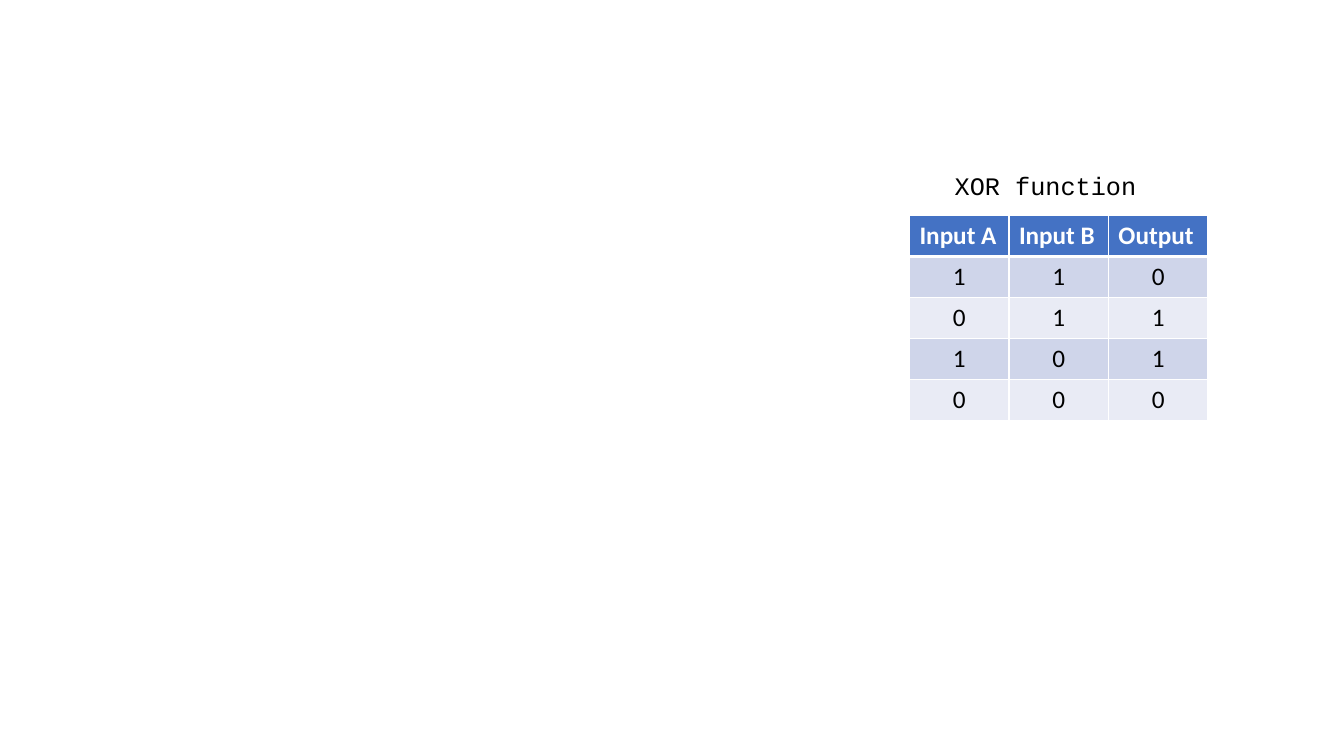
from lxml import etree
from pptx import Presentation
from pptx.dml.color import RGBColor
from pptx.enum.text import MSO_AUTO_SIZE, PP_ALIGN
from pptx.oxml.ns import qn
from pptx.util import Inches, Pt

LEFT, CENTER = PP_ALIGN.LEFT, PP_ALIGN.CENTER
FIT_SHAPE = MSO_AUTO_SIZE.SHAPE_TO_FIT_TEXT
BLANK_LAYOUT = 6

COLORS = {
    "header": "4472C4",
    "odd_row": "CFD5EA",
    "even_row": "E9EBF5",
    "white": "FFFFFF",
    "black": "000000",
}
CAPTION_FORMAT = {"name": "Courier New", "size": Pt(18), "bold": False}
HEADER_FORMAT = {"name": "Calibri", "size": Pt(18), "bold": True}
BODY_FORMAT = {**HEADER_FORMAT, "bold": False}

HEADINGS = ["Input A", "Input B", "Output"]
INPUT_PAIRS = [(1, 1), (0, 1), (1, 0), (0, 0)]


class SlideBuilder:
    """Draw styled elements on the current slide."""

    def __init__(self, slide, colors):
        self.slide = slide
        self.colors = colors

    def add_text(self, paragraph, text, font_format, color, alignment=LEFT):
        run = paragraph.add_run()
        run.text = text
        paragraph.alignment = alignment
        for attribute, value in font_format.items():
            setattr(run.font, attribute, value)
        run.font.color.rgb = RGBColor.from_string(self.colors[color])

    def caption(self, text, left, top, width, height):
        shape = self.slide.shapes.add_textbox(
            Inches(left), Inches(top), Inches(width), Inches(height))
        shape.text_frame.word_wrap = False
        shape.text_frame.auto_size = FIT_SHAPE
        self.add_text(shape.text_frame.paragraphs[0], text, CAPTION_FORMAT, "black")

    def borders(self, cell, widths):
        properties = cell._tc.get_or_add_tcPr()
        for side, width in widths.items():
            line = etree.SubElement(properties, qn(f"a:ln{side}"), w=str(Pt(width)))
            fill = etree.SubElement(line, qn("a:solidFill"))
            etree.SubElement(fill, qn("a:srgbClr"), val=self.colors["white"])

    def table(self, rows, left, top, width, height):
        shape = self.slide.shapes.add_table(
            len(rows), len(rows[0]),
            Inches(left), Inches(top), Inches(width), Inches(height))
        for row_index, row in enumerate(rows):
            if row_index == 0:
                fill, style = "header", (HEADER_FORMAT, "white", LEFT)
            else:
                fill = "odd_row" if row_index % 2 else "even_row"
                style = (BODY_FORMAT, "black", CENTER)
            widths = {
                "L": 1,
                "R": 1,
                "T": 3 if row_index == 1 else 1,
                "B": 3 if row_index == 0 else 1,
            }
            for column_index, text in enumerate(row):
                cell = shape.table.cell(row_index, column_index)
                self.add_text(cell.text_frame.paragraphs[0], text, *style)
                self.borders(cell, widths)
                cell.fill.solid()
                cell.fill.fore_color.rgb = RGBColor.from_string(self.colors[fill])


def main():
    presentation = Presentation()
    presentation.slide_width = Inches(13.33)
    presentation.slide_height = Inches(7.5)
    slide = presentation.slides.add_slide(presentation.slide_layouts[BLANK_LAYOUT])
    builder = SlideBuilder(slide, COLORS)
    builder.caption("XOR function", 9.37, 1.64, 2.01, 0.4)
    truth_rows = [[str(a), str(b), str(a ^ b)] for a, b in INPUT_PAIRS]
    builder.table([HEADINGS, *truth_rows], 9.02, 2.14, 2.96, 2.03)
    presentation.save("out.pptx")


if __name__ == "__main__":
    main()
